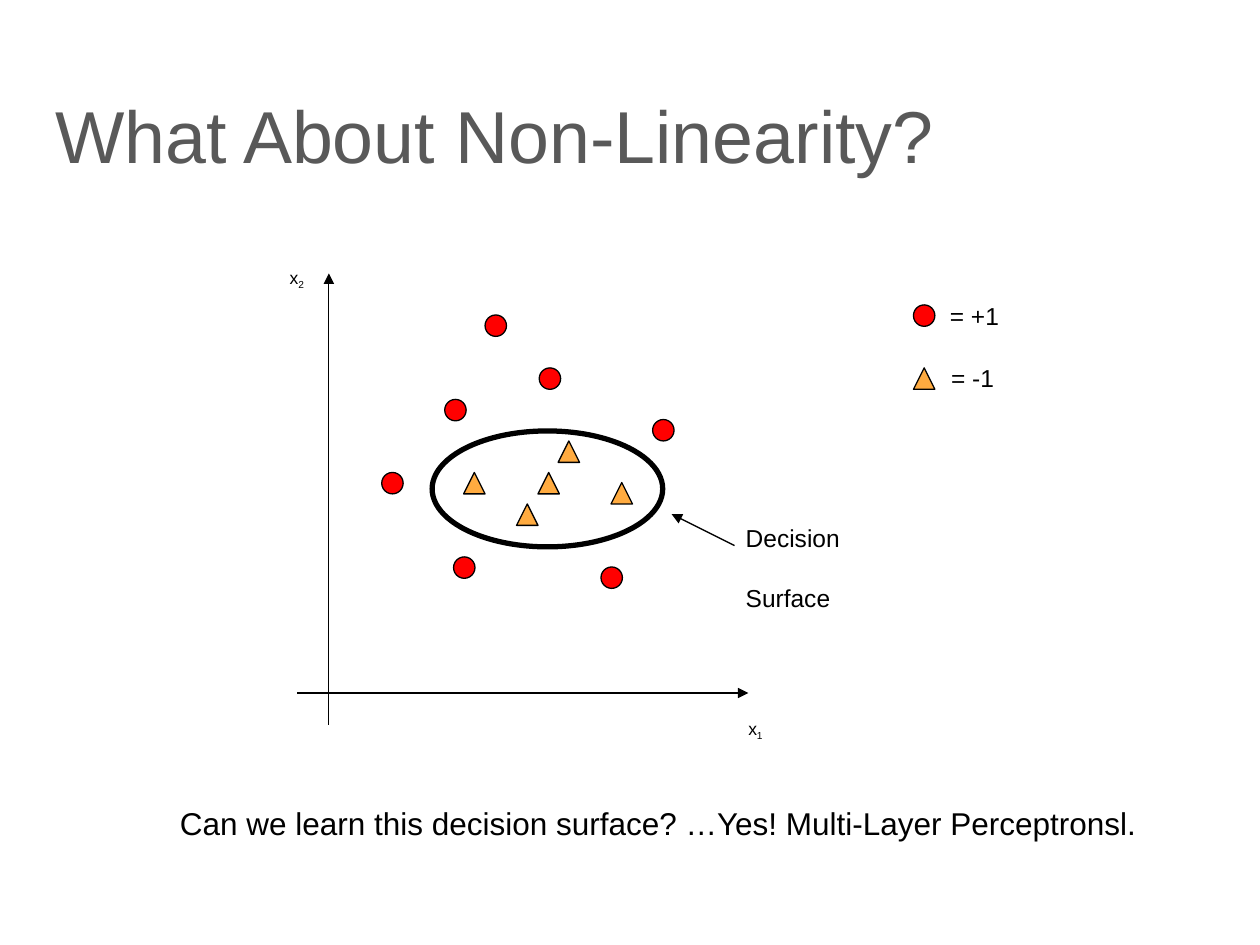
from dataclasses import dataclass
from lxml import etree
from pptx import Presentation
from pptx.dml.color import RGBColor
from pptx.enum.shapes import MSO_CONNECTOR, MSO_SHAPE
from pptx.enum.text import MSO_ANCHOR
from pptx.oxml.ns import qn
from pptx.util import Inches, Pt

LINE = MSO_CONNECTOR.STRAIGHT
OVAL = MSO_SHAPE.OVAL
PEAK = MSO_SHAPE.ISOSCELES_TRIANGLE
TOP, MID = MSO_ANCHOR.TOP, MSO_ANCHOR.MIDDLE


@dataclass(frozen=True)
class Theme:
    font: str = "Arial"
    ink: str = "000000"
    gray: str = "595959"
    red: str = "FF0000"
    gold: str = "FFAB40"
    head: int = 42
    body: int = 18
    label: int = 14
    axis: int = 10
    gap: float = 17.6
    thin: float = 0.75
    thick: float = 3


theme = Theme()
size = 0.17
title = ("What About Non-Linearity?", (0.34, 0.65, 9.32, 0.83))
ask = ("Can we learn this decision surface? …Yes! Multi-Layer Perceptronsl.",
       (1.33, 6.33, 7.82, 0.4))
note = ("Decision\nSurface", (5.82, 4.1, 1, 0.57))
axes = [("x", "1", (5.84, 5.65, 0.32, 0.27)),
        ("x", "2", (2.2, 2.07, 0.32, 0.27))]
arrows = [((2.61, 5.75), (2.61, 2.17)),
          ((2.36, 5.5), (5.94, 5.5)),
          ((5.83, 4.33), (5.33, 4.08))]
groups = [
    (PEAK, theme.gold, [(3.68, 3.75), (4.43, 3.5), (4.1, 4), (4.27, 3.75),
                        (4.85, 3.83), (7.25, 2.92)]),
    (OVAL, theme.red, [(3.85, 2.5), (5.18, 3.33), (4.77, 4.5), (3.03, 3.75),
                       (3.53, 3.17), (3.6, 4.42), (4.28, 2.92), (7.25, 2.42)]),
]
keys = [("= +1", (7.44, 2.34, 0.59, 0.33)),
        ("= -1", (7.45, 2.83, 0.54, 0.33))]
curve = (3.43, 3.42, 1.83, 0.92)


def rgb(hue):
    return RGBColor.from_string(hue)


def add_text(slide, text, box, pts, hue=theme.ink, wrap=True, anchor=TOP):
    frame = slide.shapes.add_textbox(*map(Inches, box)).text_frame
    frame.word_wrap = wrap
    frame.vertical_anchor = anchor
    frame.text = text
    for i, para in enumerate(frame.paragraphs):
        if i:
            para.space_before = Pt(theme.gap)
        para.font.name = theme.font
        para.font.size = Pt(pts)
        para.font.color.rgb = rgb(hue)
    return frame


def add_mark(slide, kind, box, fill, width):
    mark = slide.shapes.add_shape(kind, *map(Inches, box))
    mark.shadow.inherit = False
    if fill:
        mark.fill.solid()
        mark.fill.fore_color.rgb = rgb(fill)
    else:
        mark.fill.background()
    mark.line.color.rgb = rgb(theme.ink)
    mark.line.width = Pt(width)


def add_arrow(slide, start, end):
    arrow = slide.shapes.add_connector(LINE, *map(Inches, start + end))
    arrow.line.color.rgb = rgb(theme.ink)
    arrow.line.width = Pt(theme.thin)
    etree.SubElement(arrow.line._get_or_add_ln(), qn("a:tailEnd"), type="triangle")
    etree.SubElement(arrow._element.spPr, qn("a:effectLst"))


def main():
    deck = Presentation()
    deck.slide_width, deck.slide_height = Inches(10), Inches(7.5)
    slide = deck.slides.add_slide(deck.slide_layouts[6])
    add_text(slide, *title, theme.head, theme.gray, anchor=MID)
    for start, end in arrows:
        add_arrow(slide, start, end)
    for name, sub, box in axes:
        para = add_text(slide, name, box, theme.axis, wrap=False).paragraphs[0]
        run = para.add_run()
        run.text = sub
        run.font._element.set("baseline", "-25000")
    for kind, fill, spots in groups:
        for spot in spots:
            add_mark(slide, kind, (*spot, size, size), fill, theme.thin)
    for text, box in keys:
        add_text(slide, text, box, theme.label, wrap=False)
    add_mark(slide, OVAL, curve, None, theme.thick)
    add_text(slide, *note, theme.label)
    add_text(slide, *ask, theme.body)
    deck.save("out.pptx")


if __name__ == "__main__":
    main()
